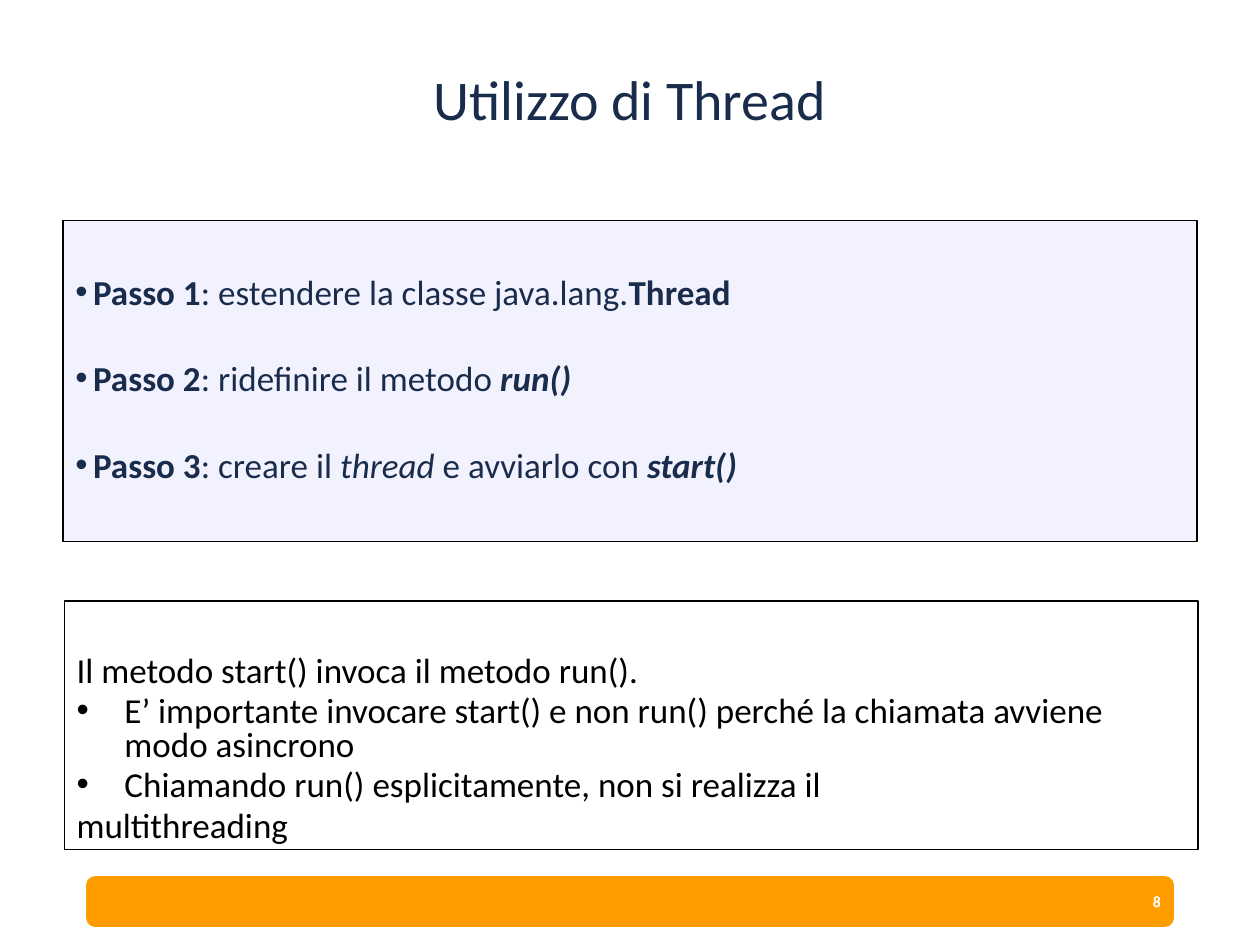
from dataclasses import dataclass
from typing import NamedTuple

from lxml import etree
from pptx import Presentation
from pptx.dml.color import RGBColor
from pptx.enum.shapes import MSO_SHAPE
from pptx.enum.text import MSO_ANCHOR, PP_ALIGN
from pptx.oxml.ns import qn
from pptx.util import Inches, Pt


@dataclass(frozen=True)
class Theme:
    font: str = "Calibri"
    navy: str = "1A2C4B"
    black: str = "000000"
    white: str = "FFFFFF"
    lavender: str = "DFDFFF"
    orange: str = "FF9C00"
    title_size: float = 32
    body_size: float = 20
    number_size: float = 8.7
    line_spacing: float = 0.8
    panel_opacity: int = 40


class Span(NamedTuple):
    text: str
    bold: bool = False
    italic: bool = False


class Line(NamedTuple):
    spans: list[Span]
    bullet: bool = True


class Panel(NamedTuple):
    box: tuple[float, float, float, float]
    fill: str
    color: str
    indent: float
    top_inset: float
    gap: float
    lines: list[Line]


THEME = Theme()

STEPS = Panel((0.5, 1.75, 9, 2.55), THEME.lavender, THEME.navy, 0.14, 0.46, 30.2, [
    Line([Span("Passo 1", True), Span(": estendere la classe java.lang."),
          Span("Thread", True)]),
    Line([Span("Passo 2", True), Span(": ridefinire il metodo "),
          Span("run()", True, True)]),
    Line([Span("Passo 3", True), Span(": creare il "), Span("thread", italic=True),
          Span(" e avviarlo con "), Span("start()", True, True)]),
])
NOTES = Panel((0.51, 4.77, 9, 1.97), THEME.white, THEME.black, 0.38, 0.44, 3.9, [
    Line([Span("Il metodo start() invoca il metodo run().")], False),
    Line([Span("E’ importante invocare start() e non run() perché la chiamata "
               "avviene modo asincrono")]),
    Line([Span("Chiamando run() esplicitamente, non si realizza il")]),
    Line([Span("multithreading")], False),
])


def rgb(color: str) -> RGBColor:
    return RGBColor.from_string(color)


def add_box(slide, preset, box, fill: str, line: str, width: float):
    shape = slide.shapes.add_shape(preset, *map(Inches, box))
    shape.shadow.inherit = False
    shape.fill.solid()
    shape.fill.fore_color.rgb = rgb(fill)
    shape.line.color.rgb = rgb(line)
    shape.line.width = Pt(width)
    return shape


def add_run(paragraph, span: Span, size: float, color: str):
    run = paragraph.add_run()
    run.text = span.text
    font = run.font
    font.name, font.size = THEME.font, Pt(size)
    font.bold, font.italic = span.bold, span.italic
    font.color.rgb = rgb(color)
    return run


def add_label(slide, box, text: str, size: float, color: str, align):
    frame = slide.shapes.add_textbox(*map(Inches, box)).text_frame
    frame.word_wrap = True
    frame.vertical_anchor = MSO_ANCHOR.MIDDLE
    paragraph = frame.paragraphs[0]
    paragraph.alignment = align
    return paragraph, add_run(paragraph, Span(text), size, color)


def add_panel(slide, panel: Panel) -> None:
    shape = add_box(slide, MSO_SHAPE.RECTANGLE, panel.box, panel.fill, THEME.black, 0.75)
    color = shape.fill._xPr.find(qn("a:solidFill"))[0]
    etree.SubElement(color, qn("a:alpha"), val=str(THEME.panel_opacity * 1000))
    frame = shape.text_frame
    frame.word_wrap = True
    frame.vertical_anchor = MSO_ANCHOR.TOP
    frame.margin_top, frame.margin_bottom = Inches(panel.top_inset), 0
    for index, line in enumerate(panel.lines):
        paragraph = frame.add_paragraph() if index else frame.paragraphs[0]
        paragraph.alignment = PP_ALIGN.LEFT
        paragraph.line_spacing = THEME.line_spacing
        paragraph.space_before = Pt(panel.gap if index else 0)
        props = paragraph._p.get_or_add_pPr()
        props.set("marL", str(Inches(panel.indent)))
        props.set("indent", str(-Inches(panel.indent)))
        if line.bullet:
            etree.SubElement(props, qn("a:buFont"), typeface="Arial")
            etree.SubElement(props, qn("a:buChar"), char="•")
        else:
            etree.SubElement(props, qn("a:buNone"))
        for span in line.spans:
            add_run(paragraph, span, THEME.body_size, panel.color)


def main() -> None:
    prs = Presentation()
    prs.slide_width, prs.slide_height = Inches(10), Inches(7.5)
    slide = prs.slides.add_slide(prs.slide_layouts[6])

    # Footer bar
    add_box(slide, MSO_SHAPE.ROUNDED_RECTANGLE, (0.69, 6.96, 8.62, 0.39),
            THEME.orange, THEME.orange, 1)

    # Title
    title, _ = add_label(slide, (3.06, 0.12, 3.88, 1.39), "Utilizzo di Thread",
                         THEME.title_size, THEME.navy, PP_ALIGN.CENTER)
    title.line_spacing = 0.9

    # Steps and notes
    for panel in (STEPS, NOTES):
        add_panel(slide, panel)

    # Page number with outlined glyphs
    _, number = add_label(slide, (7.06, 6.95, 2.25, 0.4), "8",
                          THEME.number_size, THEME.white, PP_ALIGN.RIGHT)
    outline = etree.Element(qn("a:ln"), w=str(Pt(0.8)))
    fill = etree.SubElement(outline, qn("a:solidFill"))
    etree.SubElement(fill, qn("a:srgbClr"), val=THEME.white)
    number.font._element.insert(0, outline)

    prs.save("out.pptx")


main()
